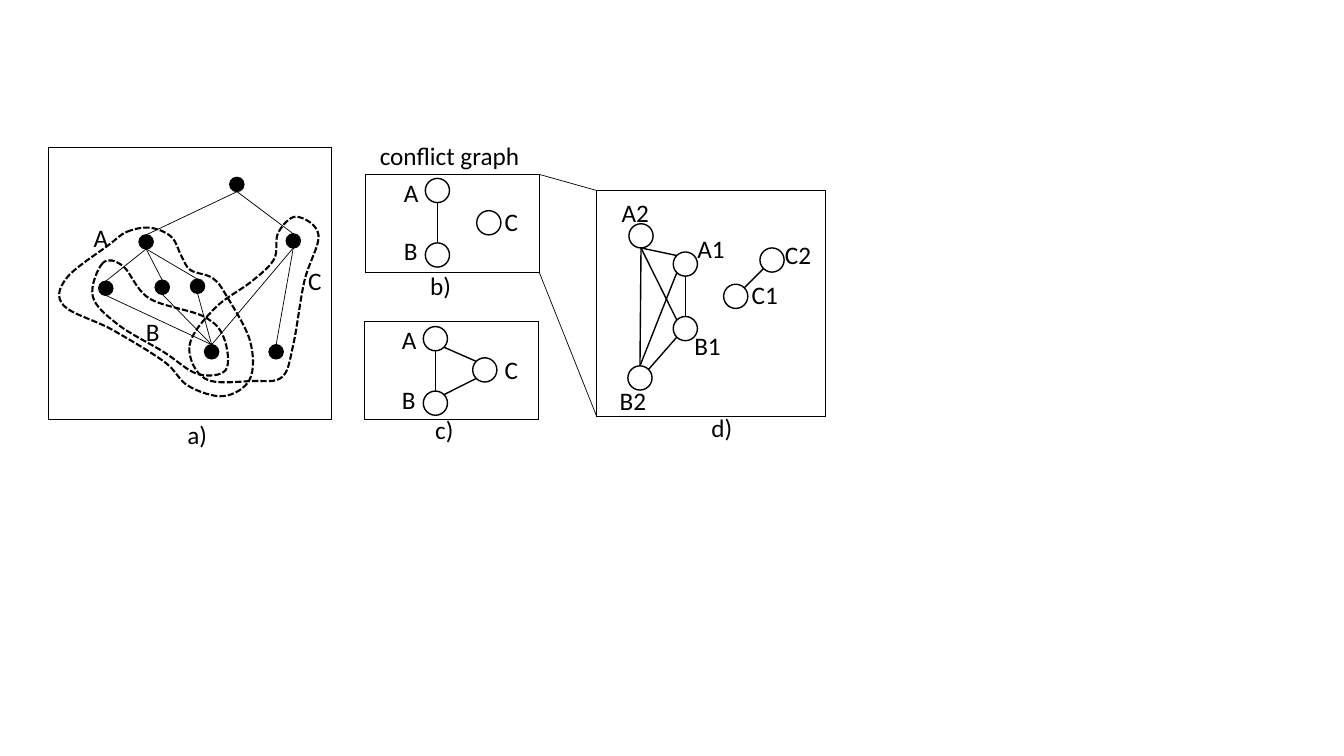
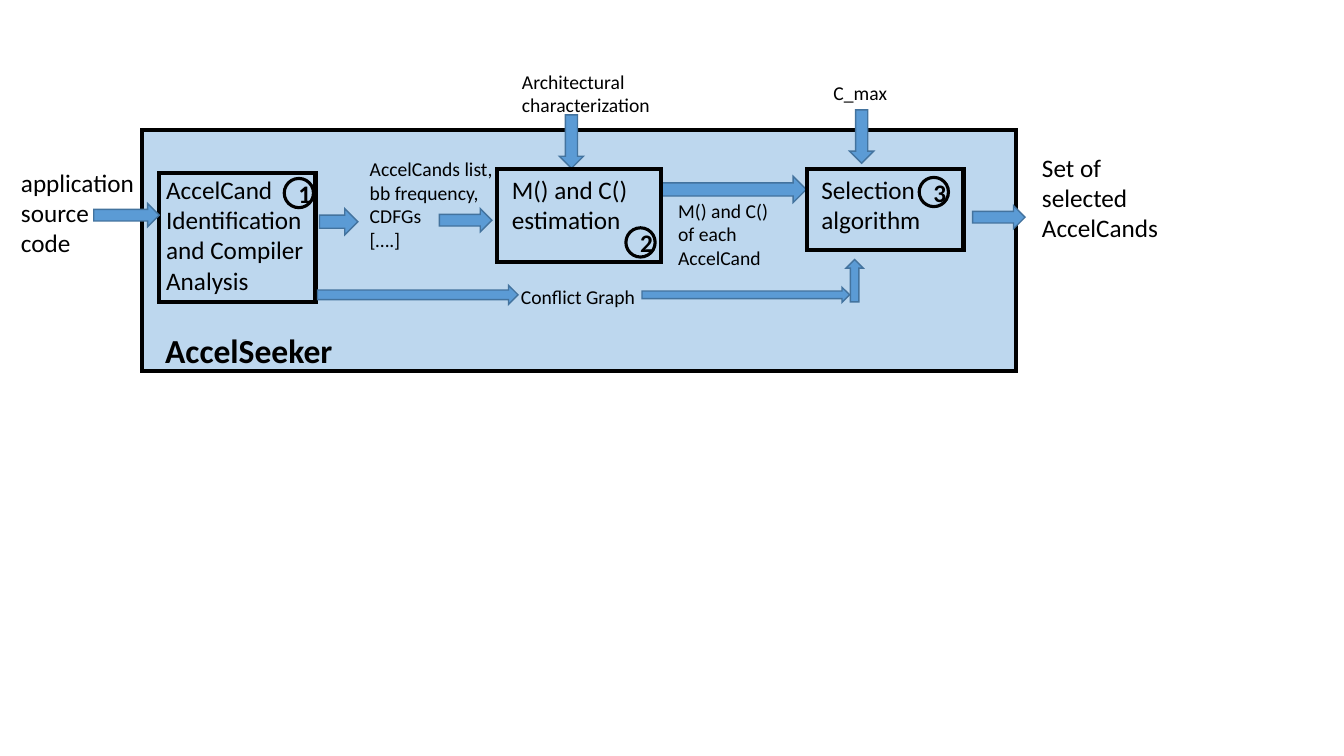
import math

import lxml.etree
import pptx
import pptx.dml.color
import pptx.enum.dml
import pptx.enum.shapes
import pptx.enum.text
import pptx.oxml.ns
import pptx.util

SHAPE = pptx.enum.shapes.MSO_SHAPE
FONT = "Calibri"
BLACK, PALE, BLUE, NAVY = "000000", "BDD7EE", "5B9BD5", "43739E"
UNIT = 2.54  # centimetres in one step of the drawing grid


def length(v):
    """Turn grid steps into a length."""
    return pptx.util.Cm(v * UNIT)


def color(hex_string):
    """Turn a hex string into a colour."""
    return pptx.dml.color.RGBColor.from_string(hex_string)


def add_tag(parent, tag, **attributes):
    """Append a DrawingML element."""
    return lxml.etree.SubElement(parent, pptx.oxml.ns.qn(tag), attributes)


def paint(sp, fill=None, line=BLACK, weight=1.0, dash=None):
    """Set fill and line of a shape, with sharp corners and no shadow."""
    sp.shadow.inherit = False
    if fill:
        sp.fill.solid()
        sp.fill.fore_color.rgb = color(fill)
    else:
        sp.fill.background()
    sp.line.color.rgb = color(line)
    sp.line.width = pptx.util.Pt(weight)
    if dash:
        sp.line.dash_style = dash
    add_tag(sp.line._get_or_add_ln(), "a:miter", lim="800000")


def write(tf, text, size=18, bold=False, align=None, wrap=True):
    """Fill a text frame with one paragraph per line of text."""
    tf.word_wrap = wrap
    for i, line in enumerate(text.split("\n")):
        p = tf.paragraphs[0] if i == 0 else tf.add_paragraph()
        p.alignment = align
        r = p.add_run()
        r.text = line
        r.font.name = FONT
        r.font.size = pptx.util.Pt(size)
        r.font.bold = bold
        r.font.color.rgb = color(BLACK)


def add_text(s, text, x, y, w, size=18, **fmt):
    """Add a text box as high as its lines."""
    h = 0.1 + (text.count("\n") + 1) * size / 60
    sp = s.shapes.add_textbox(*map(length, (x, y, w, h)))
    write(sp.text_frame, text, size=size, **fmt)
    sp.text_frame.auto_size = pptx.enum.text.MSO_AUTO_SIZE.SHAPE_TO_FIT_TEXT


def add_shape(s, kind, x, y, w, h, turn=0, **look):
    """Add a painted preset shape."""
    sp = s.shapes.add_shape(kind, *map(length, (x, y, w, h)))
    sp.rotation = turn
    paint(sp, **look)
    return sp


def add_line(s, start, end, weight):
    """Add a straight line between two points."""
    sp = s.shapes.add_connector(pptx.enum.shapes.MSO_CONNECTOR.STRAIGHT,
                                *map(length, (*start, *end)))
    sp.line.color.rgb = color(BLACK)
    sp.line.width = pptx.util.Pt(weight)
    add_tag(sp._element.spPr, "a:effectLst")


def add_outline(s, x, y, knots):
    """Draw a dashed smooth loop through the knots."""
    points = [(length(x + px), length(y + py)) for px, py in knots]
    builder = s.shapes.build_freeform(*points[0], scale=1.0)
    builder.add_line_segments(points[1:], close=True)
    sp = builder.convert_to_shape()
    paint(sp, weight=1.5, dash=pptx.enum.dml.MSO_LINE.SQUARE_DOT)

    outline = next(sp._element.iter(pptx.oxml.ns.qn("a:path")))
    for segment in list(outline)[1:]:
        outline.remove(segment)
    local = [(px - sp.left, py - sp.top) for px, py in points]
    n = len(local)
    for i in range(n):
        a, b, c, d = (local[(i + k) % n] for k in (-1, 0, 1, 2))
        curve = add_tag(outline, "a:cubicBezTo")
        leave = [q + (r - p) / 6 for p, q, r in zip(a, b, c)]
        arrive = [r - (u - q) / 6 for q, r, u in zip(b, c, d)]
        for px, py in (leave, arrive, c):
            add_tag(curve, "a:pt", x=str(round(px)), y=str(round(py)))
    add_tag(outline, "a:close")


def graph_panel(s, x, y, w, h, nodes, edges, labels, size=0.24, fill=None, weight=1.0):
    """Draw a framed graph.

    Nodes map a name to a centre. Edges are (node, site, node, site), where sites
    count eighths of a turn anticlockwise from the top.
    """
    def site(name, index):
        angle = index * math.pi / 4
        cx, cy = nodes[name]
        return (x + cx - size / 2 * math.sin(angle), y + cy - size / 2 * math.cos(angle))

    add_shape(s, SHAPE.RECTANGLE, x, y, w, h, weight=0.75)
    for a, site_a, b, site_b in edges:
        add_line(s, site(a, site_a), site(b, site_b), weight)
    for cx, cy in nodes.values():
        add_shape(s, SHAPE.OVAL, x + cx - size / 2, y + cy - size / 2, size, size, fill=fill)
    for text, lx, ly in labels:
        add_text(s, text, x + lx, y + ly, 0.26 if len(text) == 1 else 0.5)


def tree_panel(s, x, y, w, h):
    """Draw the call tree with its three overlapping candidates."""
    nodes = {"root": (1.87, 0.37), "left": (0.97, 0.94), "right": (2.43, 0.93),
             "l1": (0.57, 1.4), "l2": (1.13, 1.39), "l3": (1.48, 1.38),
             "shared": (1.62, 2.03), "leaf": (2.26, 2.03)}
    edges = [("root", 5, "left", 0)]
    links = [("root", "right"), ("right", "shared"), ("right", "leaf")]
    for child in ("l1", "l2", "l3"):
        links += [("left", child), (child, "shared")]
    edges += [(a, 4, b, 0) for a, b in links]
    graph_panel(s, x, y, w, h, nodes, edges,
                [("A", 0.35, 0.7), ("B", 0.87, 1.63), ("C", 2.48, 1.12), ("a)", 1.28, 2.65)],
                size=0.14, fill=BLACK, weight=0.5)
    outline_a = [(0.78, 0.84), (1.01, 0.8), (1.22, 0.89), (1.32, 1.08), (1.41, 1.22),
                 (1.63, 1.3), (1.77, 1.48), (2.0, 1.92), (2.0, 2.3), (1.74, 2.47),
                 (1.39, 2.37), (1.15, 2.13), (0.63, 1.81), (0.15, 1.57), (0.18, 1.3),
                 (0.6, 0.97)]
    outline_b = [(0.54, 1.15), (0.44, 1.48), (0.69, 1.76), (1.14, 2.03), (1.48, 2.25),
                 (1.76, 2.21), (1.74, 1.89), (1.54, 1.68), (1.0, 1.5), (0.74, 1.18)]
    outline_c = [(1.4, 1.97), (1.65, 1.6), (2.02, 1.33), (2.24, 1.11), (2.28, 0.85),
                 (2.46, 0.69), (2.68, 0.87), (2.54, 1.33), (2.43, 1.96), (2.32, 2.28),
                 (2.03, 2.32), (1.56, 2.3)]
    for knots in (outline_b, outline_a, outline_c):
        add_outline(s, x, y, knots)


def loose_panel(s, x, y, w, h):
    """Draw the conflict graph in which C is free."""
    graph_panel(s, x, y, w, h,
                {"A": (0.71, 0.16), "B": (0.71, 0.8), "C": (1.22, 0.48)},
                [("A", 4, "B", 0)],
                [("A", 0.28, -0.02), ("B", 0.28, 0.56), ("C", 1.28, 0.27), ("b)", 0.54, 0.9)])
    add_text(s, "conflict graph", x + 0.04, y - 0.39, 1.6, wrap=False)


def triangle_panel(s, x, y, w, h):
    """Draw the conflict graph in which all three collide."""
    graph_panel(s, x, y, w, h,
                {"A": (0.7, 0.17), "B": (0.7, 0.81), "C": (1.19, 0.48)},
                [("A", 5, "C", 1), ("A", 4, "B", 0), ("B", 7, "C", 3)],
                [("A", 0.27, -0.02), ("B", 0.27, 0.57), ("C", 1.29, 0.28), ("c)", 0.6, 0.87)])


def versions_panel(s, x, y, w, h):
    """Draw the conflict graph with two versions of each candidate."""
    graph_panel(s, x, y, w, h,
                {"A1": (0.88, 0.73), "B1": (0.88, 1.37), "A2": (0.44, 0.45),
                 "B2": (0.43, 1.86), "C1": (1.38, 1.05), "C2": (1.74, 0.69)},
                [("A1", 4, "B1", 0), ("A2", 4, "A1", 1), ("C2", 3, "C1", 7),
                 ("B1", 3, "B2", 7), ("A2", 4, "B2", 0), ("A1", 3, "B2", 0),
                 ("A2", 4, "B1", 1)],
                [("A1", 0.9, 0.38), ("B1", 0.87, 1.34), ("C1", 1.44, 0.83),
                 ("A2", 0.15, 0.02), ("C2", 1.77, 0.44), ("B2", 0.13, 1.88),
                 ("d)", 1.04, 2.15)])


def conflict_slide(prs):
    """Build the slide with the tree and its conflict graphs."""
    s = prs.slides.add_slide(prs.slide_layouts[6])
    loose, versions = (3.63, 1.73, 1.72, 0.97), (5.92, 1.89, 2.27, 2.24)
    tree_panel(s, 0.48, 1.46, 2.81, 2.7)
    triangle_panel(s, 3.62, 3.19, 1.72, 0.97)
    loose_panel(s, *loose)
    versions_panel(s, *versions)
    for drop in (0, 1):
        add_line(s, (loose[0] + loose[2], loose[1] + drop * loose[3]),
                 (versions[0], versions[1] + drop * versions[3]), 0.5)


def stage(s, x, y, w, h, text, number, text_at, badge_at):
    """Draw one numbered step; text and badge are offset from its corner."""
    add_shape(s, SHAPE.RECTANGLE, x, y, w, h, weight=3)
    add_text(s, text, x + text_at[0], y + text_at[1], w + 0.17)
    sp = add_shape(s, SHAPE.OVAL, x + badge_at[0], y + badge_at[1], 0.29, 0.29, weight=2.25)
    sp.text_frame.vertical_anchor = pptx.enum.text.MSO_ANCHOR.MIDDLE
    write(sp.text_frame, number, bold=True, align=pptx.enum.text.PP_ALIGN.CENTER)


def flow(s, x, y, w, h):
    """Draw the tool flow inside and around its box."""
    add_shape(s, SHAPE.RECTANGLE, x, y, w, h, fill=PALE, weight=3)
    stage(s, x + 0.17, y + 0.43, 1.55, 1.28,
          "AccelCand\nIdentification\nand Compiler\nAnalysis", "1", (-0.03, -0.04), (1.24, 0.05))

    right, down = SHAPE.RIGHT_ARROW, SHAPE.DOWN_ARROW
    arrows = [(right, -0.48, 0.73, 0.65, 0.23), (down, 4.14, -0.15, 0.24, 0.53),
              (right, 1.76, 0.78, 0.38, 0.26), (down, 7.02, -0.2, 0.24, 0.53),
              (right, 8.24, 0.75, 0.52, 0.23), (right, 5.15, 0.46, 1.44, 0.26),
              (right, 2.95, 0.78, 0.52, 0.23), (right, 1.74, 1.54, 1.99, 0.19),
              (right, 4.96, 1.56, 2.06, 0.15), (right, 6.86, 1.41, 0.42, 0.17, 270)]
    for kind, ax, ay, *size in arrows:
        add_shape(s, kind, x + ax, y + ay, *size, fill=BLUE, line=NAVY)

    stage(s, x + 3.52, y + 0.39, 1.63, 0.92,
          "M() and C()\nestimation", "2", (0.05, 0), (1.28, 0.58))
    stage(s, x + 6.6, y + 0.39, 1.55, 0.8,
          "Selection\nalgorithm", "3", (0.04, 0), (1.11, 0.08))

    notes = [("application\nsource\ncode", -1.3, 0.32, 1.73, 18),
             ("AccelCands list,\nbb frequency,\nCDFGs\n[….]", 2.16, 0.22, 1.45, 14),
             ("Architectural\ncharacterization", 3.67, -0.65, 1.49, 14),
             ("C_max", 6.76, -0.54, 0.74, 14),
             ("Conflict Graph", 3.66, 1.49, 1.73, 14),
             ("Set of\nselected\nAccelCands", 8.83, 0.17, 1.37, 18),
             ("M() and C()\nof each \nAccelCand", 5.22, 0.63, 1.1, 14)]
    for text, tx, ty, tw, size in notes:
        add_text(s, text, x + tx, y + ty, tw, size=size, wrap=tw > 1.49 or tw == 1.45)
    add_text(s, "AccelSeeker", x + 0.13, y + 1.93, 1.88, size=24, bold=True, wrap=False)


def flow_slide(prs):
    """Build the slide with the tool flow."""
    s = prs.slides.add_slide(prs.slide_layouts[6])
    flow(s, 1.41, 1.29, 8.67, 2.39)


def main():
    """Build and save the slides."""
    prs = pptx.Presentation()
    prs.slide_width, prs.slide_height = pptx.util.Cm(33.87), pptx.util.Cm(19.05)
    conflict_slide(prs)
    flow_slide(prs)
    prs.save("out.pptx")


main()
